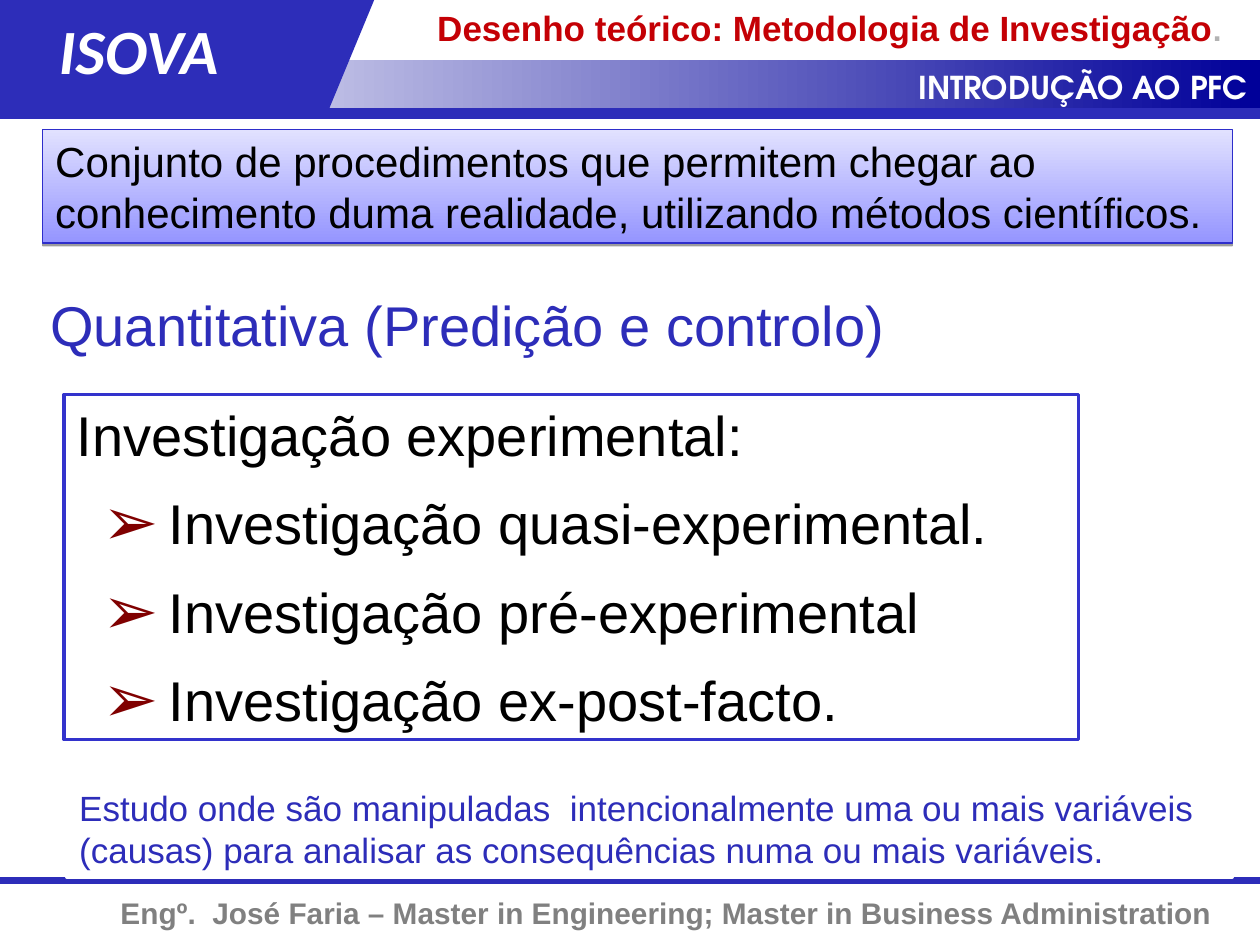
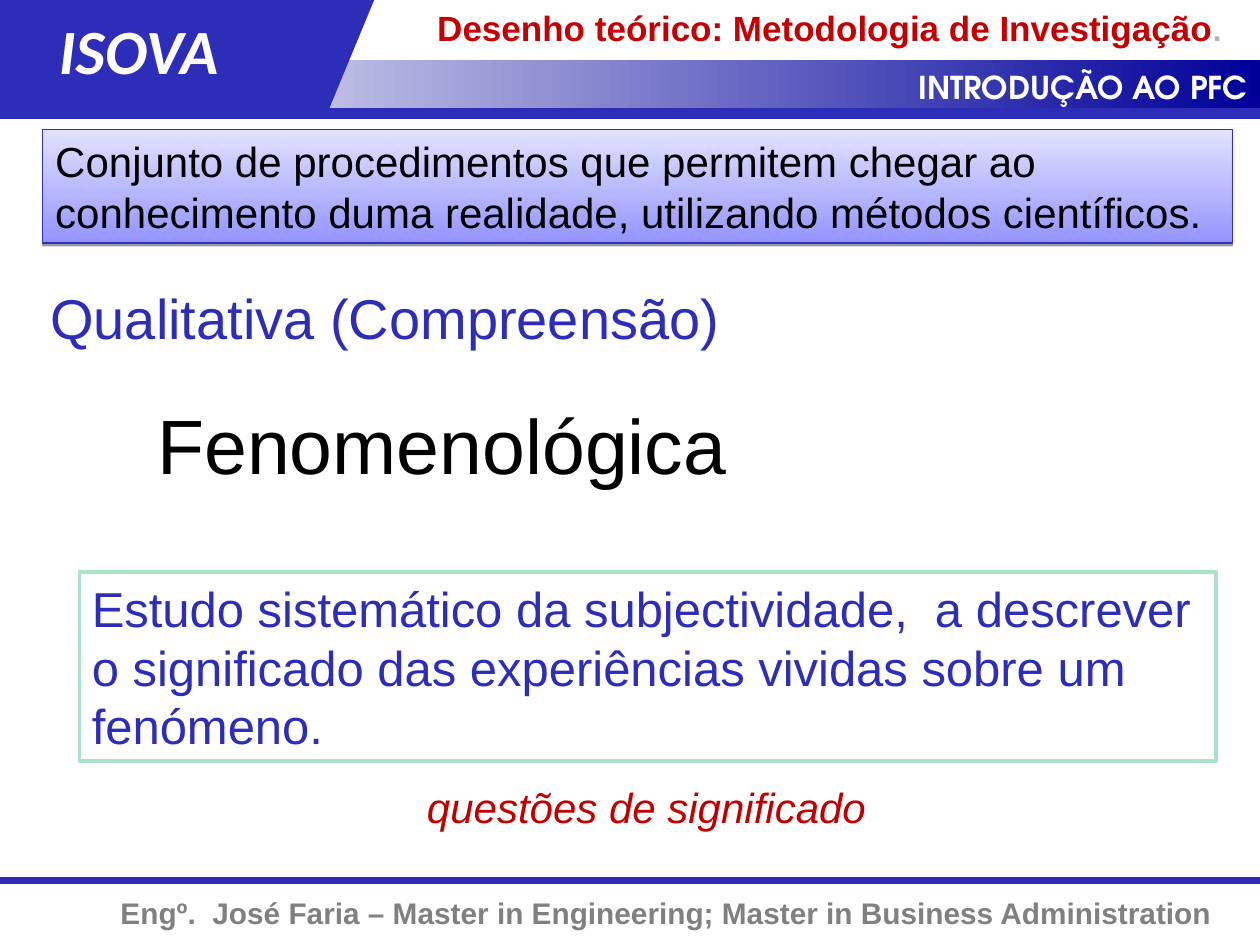
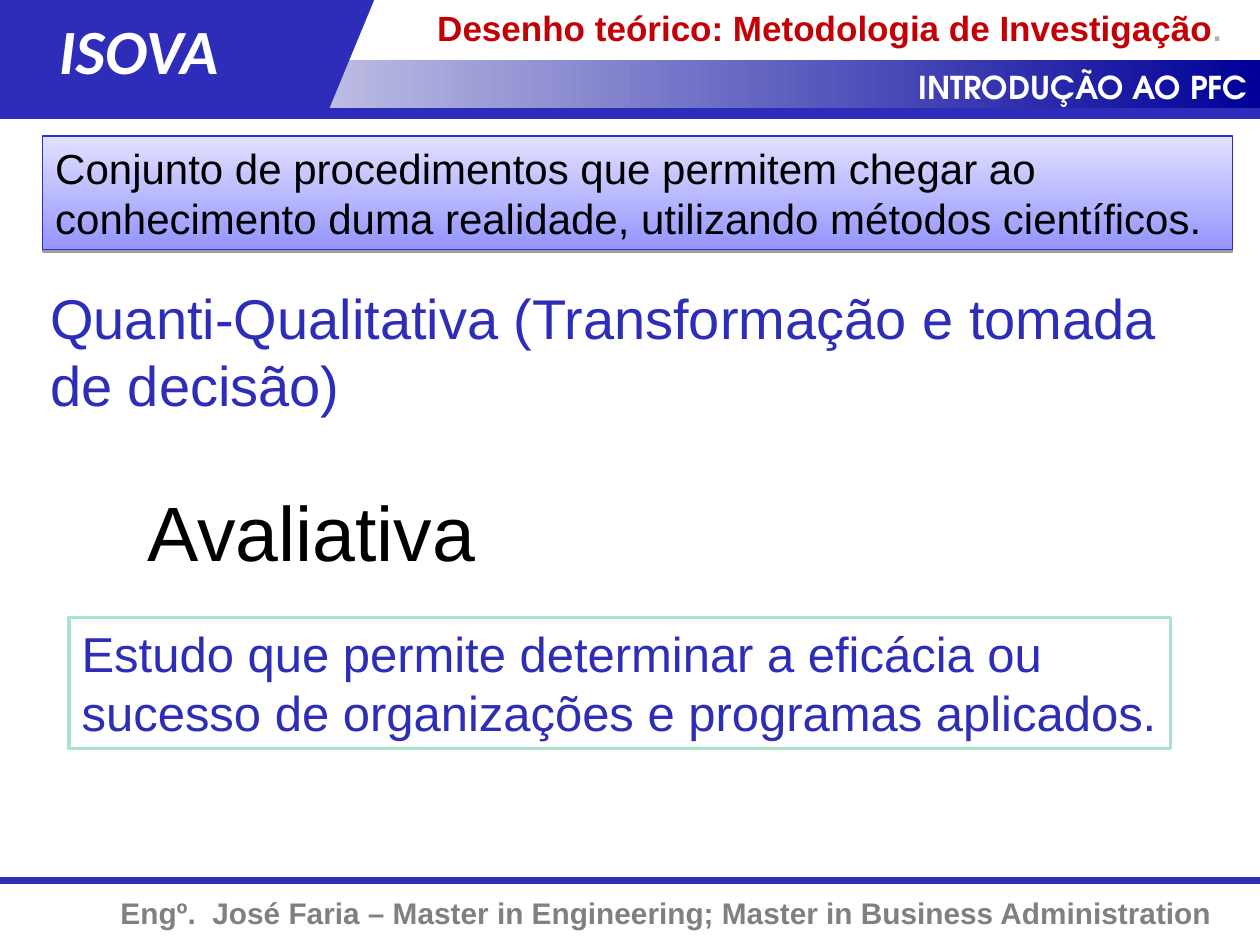
from dataclasses import dataclass

from lxml import etree
from pptx import Presentation
from pptx.dml.color import RGBColor
from pptx.enum.shapes import MSO_CONNECTOR, MSO_SHAPE
from pptx.enum.text import MSO_ANCHOR, MSO_AUTO_SIZE, PP_ALIGN
from pptx.oxml.ns import qn
from pptx.util import Inches, Pt

COLORS = {
    "brand": "2D2DB9",
    "navy": "000099",
    "white": "FFFFFF",
    "black": "000000",
    "footer": "808080",
    "heading": "C40005",
    "period": "B2B2B2",
    "question": "C00000",
    "bullet": "800000",
    "list_border": "3333CC",
    "study_border": "AAE2CA",
    "concept_border": "2E2ECB",
    "concept_top": "E1E1FF",
    "concept_bottom": "9595FF",
}

SCHOOL = "ISOVA"
COURSE = "INTRODUÇÃO AO PFC"
AUTHOR = "Engº.  José Faria – Master in Engineering; Master in Business Administration"
CONCEPT = ("Conjunto de procedimentos que permitem chegar ao conhecimento "
           "duma realidade, utilizando métodos científicos.")
TITLE_ONLY, TITLE_AND_BODY = 5, 1


@dataclass(frozen=True)
class Area:
    left: float
    top: float
    width: float
    height: float

    def emu(self) -> tuple:
        return tuple(Inches(v) for v in (self.left, self.top, self.width, self.height))


@dataclass(frozen=True)
class Style:
    size: float
    color: str
    font: str = "Arial"
    bold: bool = False
    italic: bool = False


@dataclass(frozen=True)
class Panel:
    """A white text panel; its border is white unless one is named."""
    area: Area
    text: str
    style: Style
    border: str = "white"


@dataclass(frozen=True)
class Label:
    area: Area
    text: str
    style: Style
    align: PP_ALIGN = PP_ALIGN.LEFT
    wrap: bool = True


@dataclass(frozen=True)
class BulletList:
    area: Area
    lead: str
    items: tuple


@dataclass(frozen=True)
class Topic:
    concept_top: float
    panels: tuple
    labels: tuple = ()
    bullets: BulletList | None = None


APPROACH = Style(32, "brand")
METHOD = Style(44, "black")
STUDY = Style(28, "brand")
LIST_ITEM = Style(32, "black")

FRAME_LABELS = (
    Label(Area(0, 7.05, 9.72, 0.39), AUTHOR, Style(17, "footer", bold=True), PP_ALIGN.RIGHT),
    Label(Area(4.36, 0.49, 5.64, 0.4), COURSE,
          Style(18, "white", "TeX Gyre Adventor", bold=True), PP_ALIGN.RIGHT),
    Label(Area(0.37, 0.04, 1.93, 0.7), SCHOOL,
          Style(36, "white", "Calibri", bold=True, italic=True)),
)

TOPICS = (
    Topic(
        1.03,
        panels=(
            Panel(Area(0.3, 2.26, 7.95, 0.64), "Quantitativa (Predição e controlo)", APPROACH),
            Panel(Area(0.53, 6.19, 9.25, 0.77),
                  "Estudo onde são manipuladas  intencionalmente uma ou mais variáveis "
                  "(causas) para analisar as consequências numa ou mais variáveis.",
                  Style(20, "brand")),
        ),
        bullets=BulletList(
            Area(0.51, 3.13, 8.05, 2.74),
            "Investigação experimental:",
            ("Investigação quasi-experimental.", "Investigação pré-experimental",
             "Investigação ex-post-facto."),
        ),
    ),
    Topic(
        1.03,
        panels=(
            Panel(Area(0.63, 4.54, 9.02, 1.5),
                  "Estudo sistemático da subjectividade,  a descrever o significado "
                  "das experiências vividas sobre um fenómeno.", STUDY, "study_border"),
            Panel(Area(0.3, 2.2, 7.95, 0.64), "Qualitativa (Compreensão)", APPROACH),
            Panel(Area(1.15, 3.11, 7.57, 0.84), "Fenomenológica", METHOD),
        ),
        labels=(
            Label(Area(3.29, 6.15, 3.68, 0.5), "questões de significado",
                  Style(24, "question", italic=True), wrap=False),
        ),
    ),
    Topic(
        1.08,
        panels=(
            Panel(Area(0.55, 4.9, 8.74, 1.04),
                  "Estudo que permite determinar a eficácia ou sucesso de organizações "
                  "e programas aplicados.", STUDY, "study_border"),
            Panel(Area(0.3, 2.2, 9.49, 1.17),
                  "Quanti-Qualitativa (Transformação e tomada de decisão)", APPROACH),
            Panel(Area(1.07, 3.8, 7.58, 0.84), "Avaliativa", METHOD),
        ),
    ),
)


def rgb(name: str) -> RGBColor:
    return RGBColor.from_string(COLORS[name])


def add_run(paragraph, text: str, style: Style) -> None:
    run = paragraph.add_run()
    run.text = text
    font = run.font
    font.name, font.size = style.font, Pt(style.size)
    font.bold, font.italic = style.bold, style.italic
    font.color.rgb = rgb(style.color)


def prepare_text(shape, align: PP_ALIGN = PP_ALIGN.LEFT, wrap: bool = True):
    """Sets the shared text layout and returns the first paragraph."""
    frame = shape.text_frame
    frame.word_wrap = wrap
    frame.auto_size = MSO_AUTO_SIZE.NONE
    frame.vertical_anchor = MSO_ANCHOR.TOP
    paragraph = frame.paragraphs[0]
    paragraph.alignment = align
    return paragraph


def place(shape, area: Area) -> None:
    shape.left, shape.top, shape.width, shape.height = area.emu()


def outline(shape, color: str, width: float) -> None:
    shape.line.color.rgb = rgb(color)
    shape.line.width = Pt(width)


def fill_solid(shape, color: str) -> None:
    shape.fill.solid()
    shape.fill.fore_color.rgb = rgb(color)


def fill_gradient(shape, start: str, end: str, angle: float) -> None:
    shape.fill.gradient()
    shape.fill.gradient_angle = angle
    for stop, color in zip(shape.fill.gradient_stops, (start, end)):
        stop.color.rgb = rgb(color)


def add_block(slide, area: Area, kind: MSO_SHAPE = MSO_SHAPE.RECTANGLE):
    block = slide.shapes.add_shape(kind, *area.emu())
    block.shadow.inherit = False
    block.line.fill.background()
    return block


def add_rule(slide, y: float, width: float) -> None:
    rule = slide.shapes.add_connector(
        MSO_CONNECTOR.STRAIGHT, 0, Inches(y), Inches(10), Inches(y))
    outline(rule, "brand", width)
    etree.SubElement(rule._element.spPr, qn("a:effectLst"))


def add_label(slide, label: Label) -> None:
    box = slide.shapes.add_textbox(*label.area.emu())
    add_run(prepare_text(box, label.align, label.wrap), label.text, label.style)


def add_panel(slide, panel: Panel) -> None:
    block = add_block(slide, panel.area)
    fill_solid(block, "white")
    outline(block, panel.border, 2)
    add_run(prepare_text(block), panel.text, panel.style)


def add_drop_shadow(shape) -> None:
    effects = shape._element.spPr.find(qn("a:effectLst"))
    shadow = etree.SubElement(effects, qn("a:outerShdw"), blurRad="0", dist=str(Pt(1.6)),
                              dir="5400000", rotWithShape="0")
    color = etree.SubElement(shadow, qn("a:srgbClr"), val=COLORS["black"])
    etree.SubElement(color, qn("a:alpha"), val="38000")


def add_concept(slide, top: float) -> None:
    concept = add_block(slide, Area(0.34, top, 9.44, 0.9))
    fill_gradient(concept, "concept_bottom", "concept_top", 90)
    outline(concept, "concept_border", 0.75)
    add_drop_shadow(concept)
    add_run(prepare_text(concept), CONCEPT, Style(24, "black"))


def set_bullet(paragraph, shown: bool) -> None:
    props = paragraph._p.get_or_add_pPr()
    props.set("marL", str(Inches(0.73 if shown else 0)))
    props.set("indent", str(Inches(-0.53 if shown else 0)))
    if not shown:
        etree.SubElement(props, qn("a:buNone"))
        return
    color = etree.SubElement(props, qn("a:buClr"))
    etree.SubElement(color, qn("a:srgbClr"), val=COLORS["bullet"])
    etree.SubElement(props, qn("a:buSzPct"), val="120000")
    etree.SubElement(props, qn("a:buChar"), char="➢")


def fill_bullets(body, bullets: BulletList) -> None:
    place(body, bullets.area)
    fill_solid(body, "white")
    outline(body, "list_border", 2)
    paragraph = prepare_text(body)
    for index, text in enumerate((bullets.lead, *bullets.items)):
        if index:
            paragraph = body.text_frame.add_paragraph()
            paragraph.level = 1
        paragraph.space_before = paragraph.space_after = Pt(6)
        set_bullet(paragraph, shown=index > 0)
        add_run(paragraph, text, LIST_ITEM)


def fill_title(title) -> None:
    place(title, Area(3.37, 0, 6.63, 0.44))
    paragraph = prepare_text(title)
    add_run(paragraph, "Desenho teórico: Metodologia de Investigação",
            Style(20, "heading", bold=True))
    add_run(paragraph, ".", Style(18, "period", bold=True))


def add_frame(slide) -> None:
    """Draws the header band, the school badge and the footer."""
    add_rule(slide, 6.99, 4)
    band = add_block(slide, Area(0, 0.48, 10, 0.39))
    fill_gradient(band, "white", "navy", 0)
    badge_slant = add_block(slide, Area(1.17, 0, 1.8, 0.87), MSO_SHAPE.FLOWCHART_DATA)
    badge = add_block(slide, Area(0, 0, 1.59, 0.87))
    for part in (badge_slant, badge):
        fill_solid(part, "brand")
    for label in FRAME_LABELS:
        add_label(slide, label)
    add_rule(slide, 0.9, 6)


def add_topic(prs, topic: Topic) -> None:
    layout = TITLE_AND_BODY if topic.bullets else TITLE_ONLY
    slide = prs.slides.add_slide(prs.slide_layouts[layout])
    fill_title(slide.shapes.title)
    if topic.bullets:
        fill_bullets(slide.placeholders[1], topic.bullets)
    add_frame(slide)
    for panel in topic.panels:
        add_panel(slide, panel)
    for label in topic.labels:
        add_label(slide, label)
    add_concept(slide, topic.concept_top)


def main() -> None:
    prs = Presentation()
    prs.slide_width, prs.slide_height = Inches(10), Inches(7.5)
    for topic in TOPICS:
        add_topic(prs, topic)
    prs.save("out.pptx")


if __name__ == "__main__":
    main()
